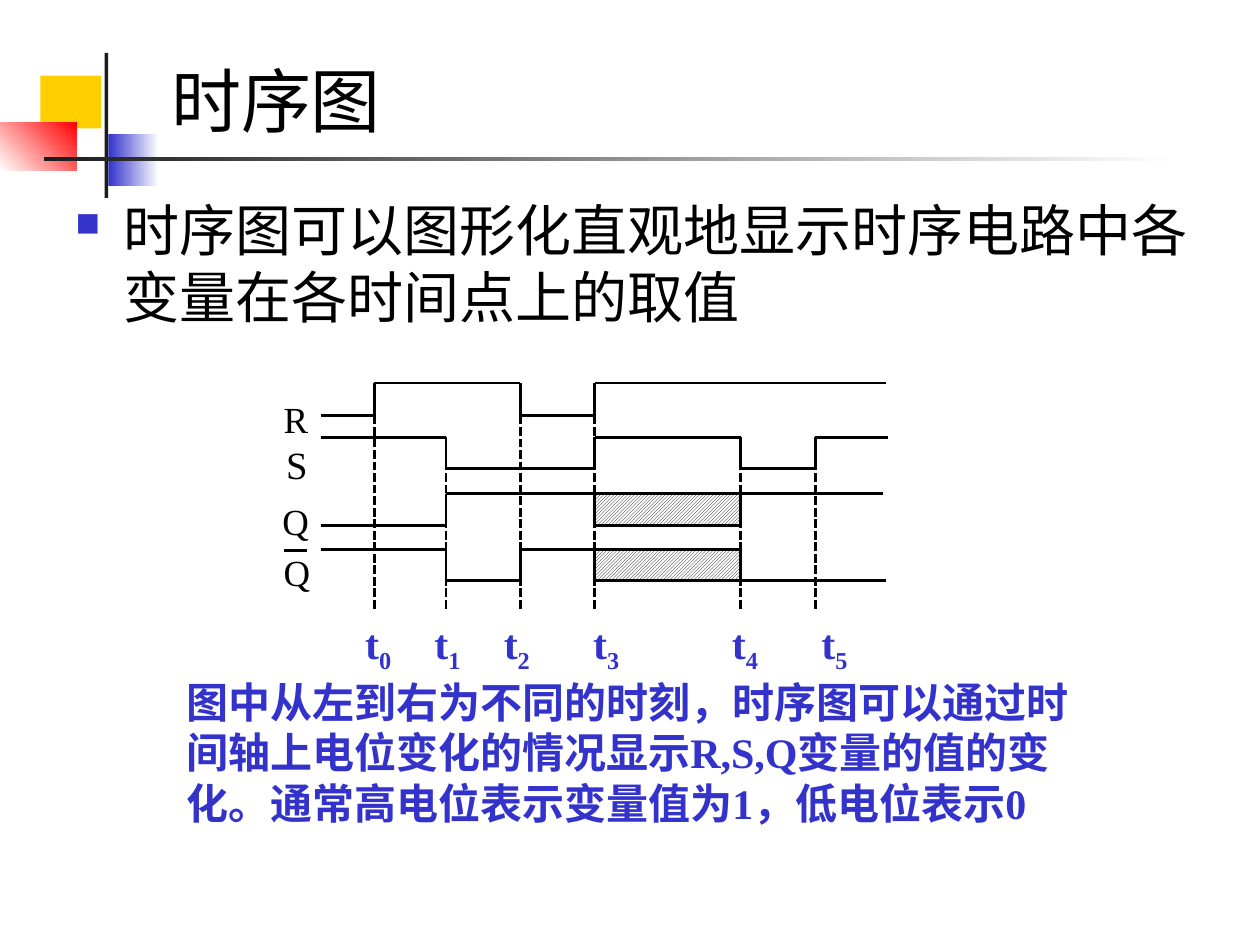
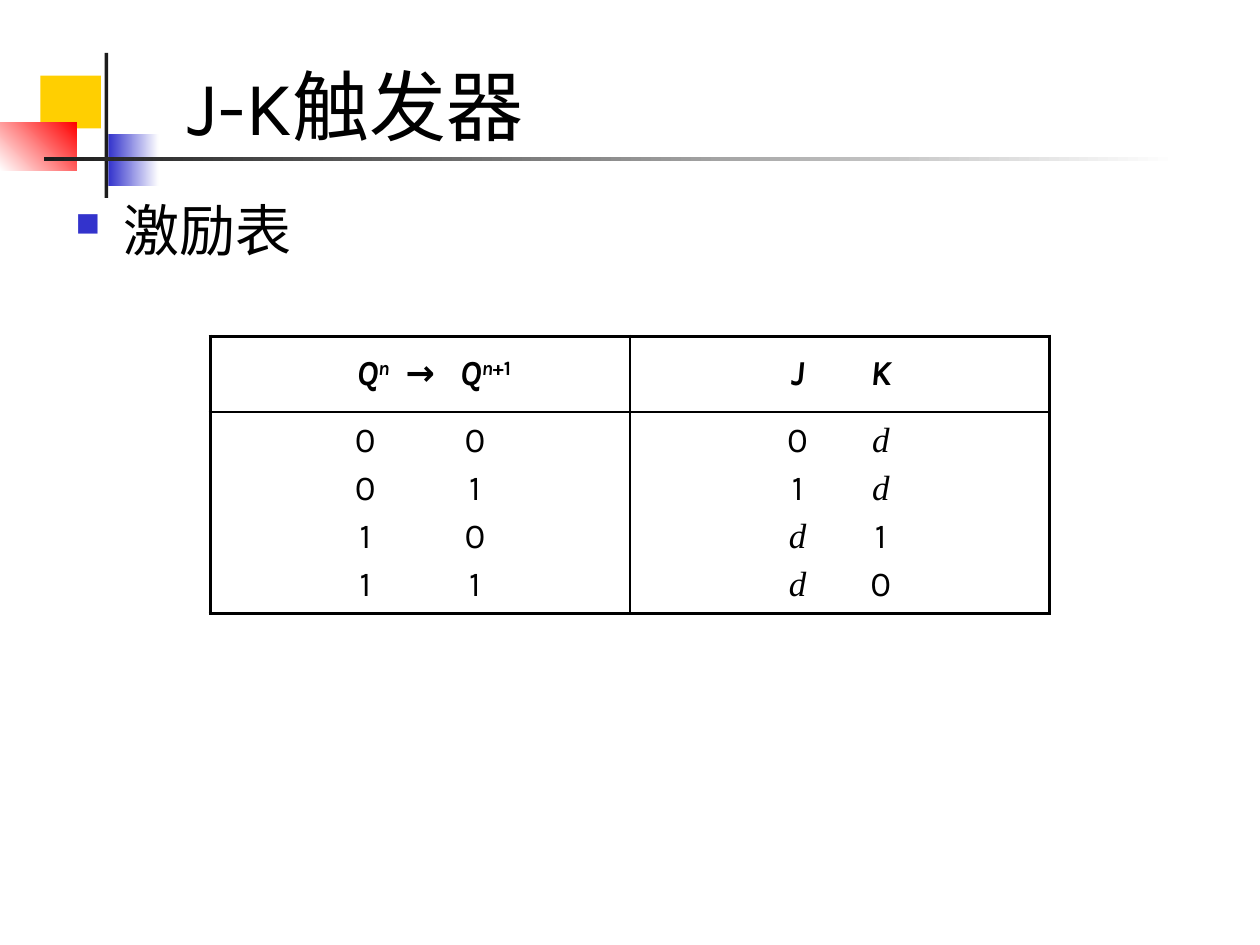
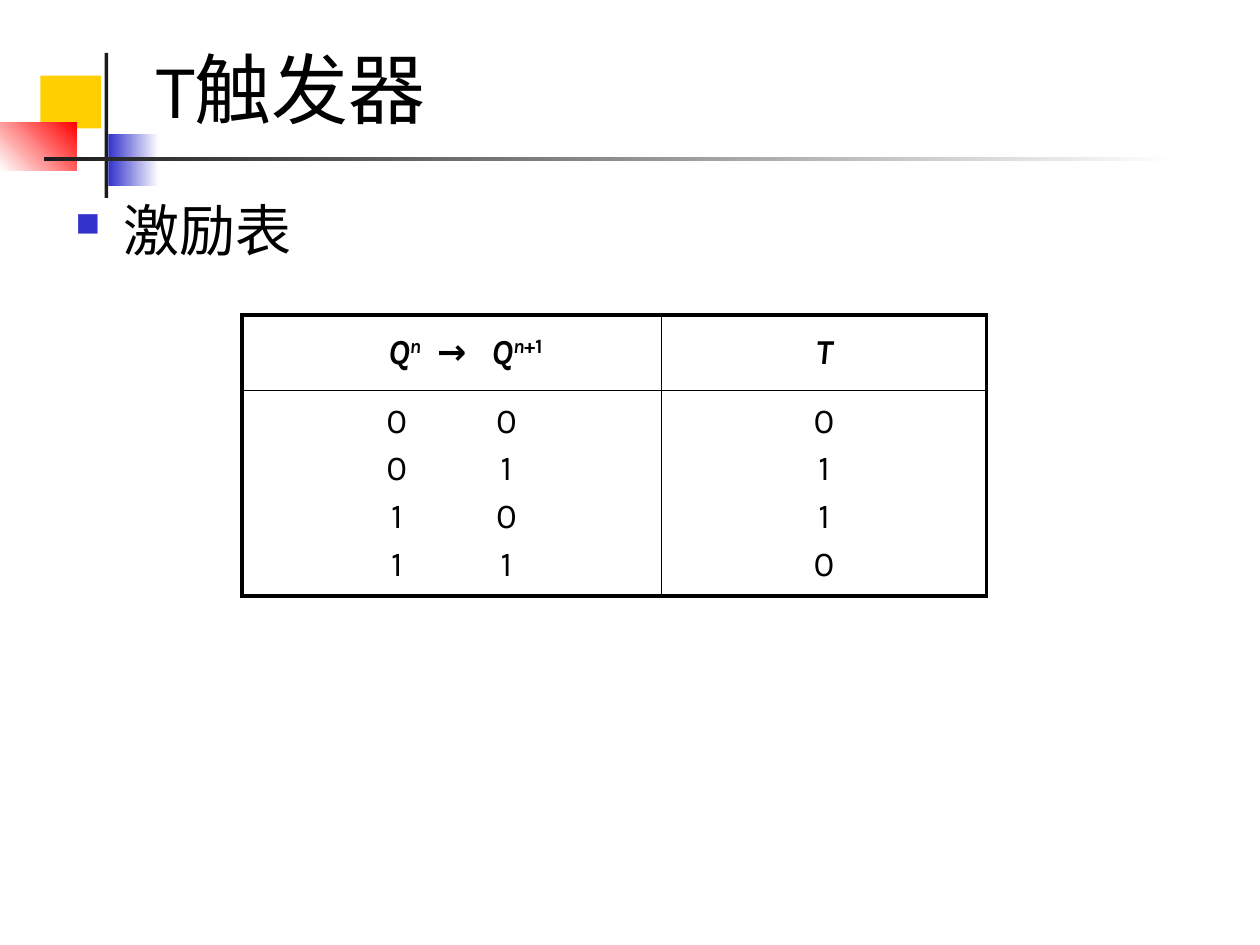
"""Builds three slides on sequential logic: a timing diagram and two excitation tables."""
from itertools import pairwise

from lxml import etree
from pptx import Presentation
from pptx.dml.color import RGBColor
from pptx.enum.dml import MSO_LINE, MSO_PATTERN
from pptx.enum.shapes import MSO_CONNECTOR, MSO_SHAPE
from pptx.enum.text import MSO_ANCHOR, PP_ALIGN
from pptx.oxml import parse_xml
from pptx.oxml.ns import nsdecls, qn
from pptx.util import Inches, Pt

BLACK = RGBColor(0x00, 0x00, 0x00)
WHITE = RGBColor(0xFF, 0xFF, 0xFF)
DARK = RGBColor(0x1C, 0x1C, 0x1C)
BLUE = RGBColor(0x33, 0x33, 0xCC)
GOLD = RGBColor(0xFF, 0xCF, 0x01)
RED = RGBColor(0xFF, 0x00, 0x00)
SANS, SERIF = "Karla", "Times New Roman"

BANDS = [
    (0.32, 0.6, 0.48, 0.42, [GOLD], 0),
    (0.86, 1.06, 0.4, 0.42, [BLUE, WHITE], 0),
    (0, 0.97, 0.61, 0.38, [WHITE, RED], 45),
    (0.83, 0.42, 0.03, 1.15, [DARK], 0),
    (0.35, 1.25, 9, 0.03, [DARK, WHITE], 0),
]


def add_run(p, text, size, font=SANS, color=BLACK, bold=False, italic=False, baseline=0):
    r = p.add_run()
    r.text = text
    f = r.font
    f.name, f.size, f.bold, f.italic = font, Pt(size), bold, italic
    f.color.rgb = color
    if baseline:
        r._r.get_or_add_rPr().set("baseline", str(baseline * 1000))


def add_box(s, x, y, w, h, wrap=True, inset=True, anchor=MSO_ANCHOR.TOP):
    tf = s.shapes.add_textbox(Inches(x), Inches(y), Inches(w), Inches(h)).text_frame
    tf.word_wrap = wrap
    tf.vertical_anchor = anchor
    if not inset:
        tf.margin_left = tf.margin_right = tf.margin_top = tf.margin_bottom = 0
    return tf.paragraphs[0]


prs = Presentation()
prs.slide_width, prs.slide_height = Inches(10), Inches(7.5)

PAGES = [
    ("时序图", 40, 1.26, 0.5, "时序图可以图形化直观地显示时序电路中各变量在各时间点上的取值"),
    ("J-K触发器", 44, 1.39, 0.58, "激励表"),
    ("T触发器", 44, 1.14, 0.44, "激励表"),
]
slides = []
for title, size, left, top, body in PAGES:
    s = prs.slides.add_slide(prs.slide_layouts[6])
    slides.append(s)
    for x, y, w, h, colors, angle in BANDS:
        sp = s.shapes.add_shape(MSO_SHAPE.RECTANGLE, Inches(x), Inches(y), Inches(w), Inches(h))
        sp.shadow.inherit = False
        sp.line.fill.background()
        if len(colors) == 1:
            sp.fill.solid()
            sp.fill.fore_color.rgb = colors[0]
        else:
            sp.fill.gradient()
            sp.fill.gradient_angle = angle
            for stop, color in zip(sp.fill.gradient_stops, colors):
                stop.color.rgb = color
    add_run(add_box(s, left, top, 8.52, 0.67, anchor=MSO_ANCHOR.BOTTOM), title, size)
    p = add_box(s, 0.5, 1.5, 9.17, 5.33)
    pPr = p._p.get_or_add_pPr()
    pPr.set("marL", str(Inches(0.38)))
    pPr.set("indent", str(-Inches(0.38)))
    for xml in (f'<a:buClr {nsdecls("a")}><a:srgbClr val="{BLUE}"/></a:buClr>',
                f'<a:buSzPct {nsdecls("a")} val="60000"/>',
                f'<a:buChar {nsdecls("a")} char="■"/>'):
        pPr.append(parse_xml(xml))
    add_run(p, body, 32)

s = slides[0]
TIMES = t0, t1, t2, t3, t4, t5 = 2.97, 3.54, 4.13, 4.72, 5.88, 6.47
START = 2.55
R_HIGH, R_LOW, S_HIGH, S_LOW = 3.04, 3.3, 3.47, 3.72
Q_HIGH, Q_LOW, NQ_HIGH, NQ_LOW = 3.92, 4.17, 4.36, 4.61

for top, bottom in ((Q_HIGH, Q_LOW), (NQ_HIGH, NQ_LOW)):
    sp = s.shapes.add_shape(MSO_SHAPE.RECTANGLE, Inches(t3), Inches(top),
                            Inches(t4 - t3), Inches(bottom - top))
    sp.shadow.inherit = False
    sp.line.fill.background()
    sp.fill.patterned()
    sp.fill.pattern = MSO_PATTERN.LIGHT_UPWARD_DIAGONAL
    sp.fill.fore_color.rgb = BLACK
    sp.fill.back_color.rgb = WHITE

WAVES = [
    (R_LOW, R_HIGH, [START, t0, t2, t3, 7.03]),
    (S_HIGH, S_LOW, [START, t1, t3, t4, t5, 7.05]),
    (Q_LOW, Q_HIGH, [START, t1, 7.01]),
    (Q_HIGH, Q_LOW, [t3, t3, t4, t4]),
    (NQ_HIGH, NQ_LOW, [START, t1, t2, t4, t4]),
    (NQ_HIGH, NQ_LOW, [t3, t3, 7.03]),
]
lines = [(2.25, 4.37, 2.44, 4.37, 1.38, False)]
for level, other, edges in WAVES:
    points = []
    for x1, x2 in pairwise(edges):
        points += [(x1, level), (x2, level)]
        level, other = other, level
    lines += [(*a, *b, 1.63, False) for a, b in pairwise(points) if a != b]
for x, top in zip(TIMES, (R_LOW, S_LOW, R_LOW, R_LOW, S_LOW, S_LOW)):
    lines.append((x, 4.83, x, top, 1.63, True))
for x1, y1, x2, y2, width, dashed in lines:
    c = s.shapes.add_connector(MSO_CONNECTOR.STRAIGHT, Inches(x1), Inches(y1), Inches(x2), Inches(y2))
    c.line.color.rgb = BLACK
    c.line.width = Pt(width)
    if dashed:
        c.line.dash_style = MSO_LINE.SQUARE_DOT
    etree.SubElement(c._element.spPr, qn("a:effectLst"))

for name, x, y, size in (("R", 2.25, 3.15, 21), ("S", 2.27, 3.5, 22), ("Q", 2.24, 3.96, 21), ("Q", 2.25, 4.36, 21)):
    add_run(add_box(s, x, y, 0.21, 0.35, wrap=False, inset=False), name, size, SERIF)
for i, x in enumerate((2.8, 3.35, 3.9, 4.61, 5.71, 6.42)):
    p = add_box(s, x, 4.85, 0.63, 0.5)
    add_run(p, "t", 24, SERIF, BLUE, bold=True)
    add_run(p, str(i), 24, SERIF, BLUE, bold=True, baseline=-25)
add_run(add_box(s, 1.38, 5.32, 7.32, 1.3),
        "图中从左到右为不同的时刻，时序图可以通过时间轴上电位变化的情况显示R,S,Q变量的值的变化。"
        "通常高电位表示变量值为1，低电位表示0", 24, SERIF, BLUE, bold=True)

TRANSITION = [("\tQ", True, 0), ("n", True, 30), ("\t→", True, 0),
              ("\tQ", True, 0), ("n", True, 30), ("+1", False, 30)]
STATES = ["00", "01", "10", "11"]
HEAD_STOPS = [(1.06, "l"), (1.45, "l"), (1.88, "l")]
STATE_STOPS = [(1.13, "ctr"), (2, "ctr")]
JK_STOPS = [(1.23, "ctr"), (1.89, "ctr")]
TABLES = [
    (slides[1], 1.67, 2.67, (3.33, 3.33), (0.6, 1.56),
     [("\tJ", True, 0), ("\tK", True, 0)], ["0d", "1d", "d1", "d0"], JK_STOPS),
    (slides[2], 1.92, 2.5, (3.33, 2.58), (0.6, 1.63), [("T", True, 0)], ["0", "1", "1", "0"], []),
]
for s, x, y, widths, heights, inputs, values, stops in TABLES:
    tbl = s.shapes.add_table(2, 2, Inches(x), Inches(y), Inches(sum(widths)), Inches(sum(heights))).table
    tbl.first_row = tbl.horz_banding = False
    for i in range(2):
        tbl.columns[i].width = Inches(widths[i])
        tbl.rows[i].height = Inches(heights[i])
    contents = {(0, 0): ([TRANSITION], HEAD_STOPS), (0, 1): ([inputs], stops),
                (1, 0): (STATES, STATE_STOPS), (1, 1): (values, stops)}
    for (row, col), (paragraphs, tabs) in contents.items():
        cell = tbl.cell(row, col)
        cell.vertical_anchor = MSO_ANCHOR.MIDDLE
        cell.fill.background()
        outer = {"lnL": col == 0, "lnR": col == 1, "lnT": row == 0, "lnB": row == 1}
        for i, (side, thick) in enumerate(outer.items()):
            cell._tc.get_or_add_tcPr().insert(i, parse_xml(
                f'<a:{side} {nsdecls("a")} w="{Pt(2.25 if thick else 1)}"><a:solidFill>'
                f'<a:srgbClr val="{BLACK}"/></a:solidFill></a:{side}>'))
        for i, content in enumerate(paragraphs):
            p = cell.text_frame.paragraphs[0] if i == 0 else cell.text_frame.add_paragraph()
            if tabs:
                tab_list = etree.SubElement(p._p.get_or_add_pPr(), qn("a:tabLst"))
                for pos, align in tabs:
                    etree.SubElement(tab_list, qn("a:tab"), pos=str(Inches(pos)), algn=align)
            p.alignment = PP_ALIGN.LEFT if tabs else PP_ALIGN.CENTER
            if i:
                p.space_before = Pt(4)
            if row == 0:
                for text, italic, baseline in content:
                    add_run(p, text, 20, bold=True, italic=italic, baseline=baseline)
            else:
                for value in content:
                    add_run(p, ("\t" if tabs else "") + value, 20,
                            SERIF if value == "d" else SANS, italic=value == "d")

prs.save("out.pptx")
